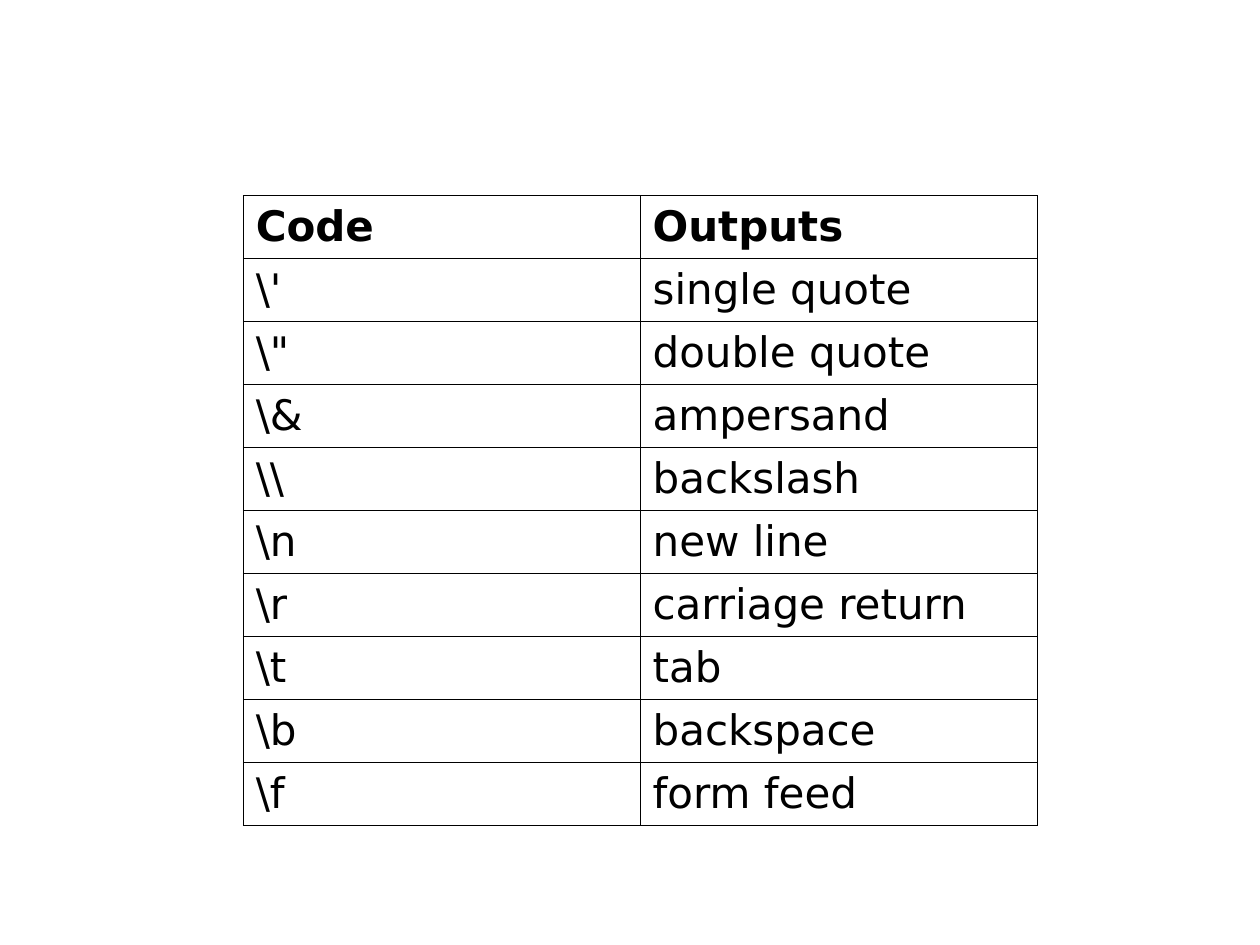
from lxml.etree import SubElement
from pptx import Presentation
from pptx.dml.color import RGBColor
from pptx.enum.text import MSO_ANCHOR
from pptx.oxml.ns import qn
from pptx.util import Inches, Pt

FONT = "DejaVu Sans"
COLORS = {"ink": "000000"}
LINE = Pt(0.34)
COL_W, ROW_H = 3.15, 0.5

ROWS = [
    ("Code", "Outputs"),
    (r"\'", "single quote"),
    (r"\"", "double quote"),
    (r"\&", "ampersand"),
    (r"\\", "backslash"),
    (r"\n", "new line"),
    (r"\r", "carriage return"),
    (r"\t", "tab"),
    (r"\b", "backspace"),
    (r"\f", "form feed"),
]


def add_edges(cell):
    """Draw a thin line on all four sides of a cell."""
    props = cell._tc.get_or_add_tcPr()
    for side in ("lnL", "lnR", "lnT", "lnB"):
        edge = SubElement(props, qn(f"a:{side}"), w=str(int(LINE)))
        fill = SubElement(edge, qn("a:solidFill"))
        SubElement(fill, qn("a:srgbClr"), val=COLORS["ink"])


def fill_cell(cell, text, bold):
    """Write and format one cell."""
    add_edges(cell)
    cell.fill.background()
    cell.vertical_anchor = MSO_ANCHOR.MIDDLE
    cell.text_frame.text = text
    font = cell.text_frame.paragraphs[0].runs[0].font
    font.name, font.size, font.bold = FONT, Pt(24), bold
    font.color.rgb = RGBColor.from_string(COLORS["ink"])


def add_grid(slide, left, top, rows):
    """Add a table whose first row is a bold header."""
    count, width = len(rows), len(rows[0])
    table = slide.shapes.add_table(
        count, width, Inches(left), Inches(top),
        Inches(COL_W * width), Inches(ROW_H * count)).table
    table.horz_banding = False
    for r, row in enumerate(rows):
        for c, text in enumerate(row):
            fill_cell(table.cell(r, c), text, bold=r == 0)


def main():
    deck = Presentation()
    deck.slide_width, deck.slide_height = Inches(10), Inches(7.5)
    # Blank layout, as the slide has no title
    slide = deck.slides.add_slide(deck.slide_layouts[6])
    # Table of escape codes
    add_grid(slide, 1.93, 1.55, ROWS)
    deck.save("out.pptx")


if __name__ == "__main__":
    main()
